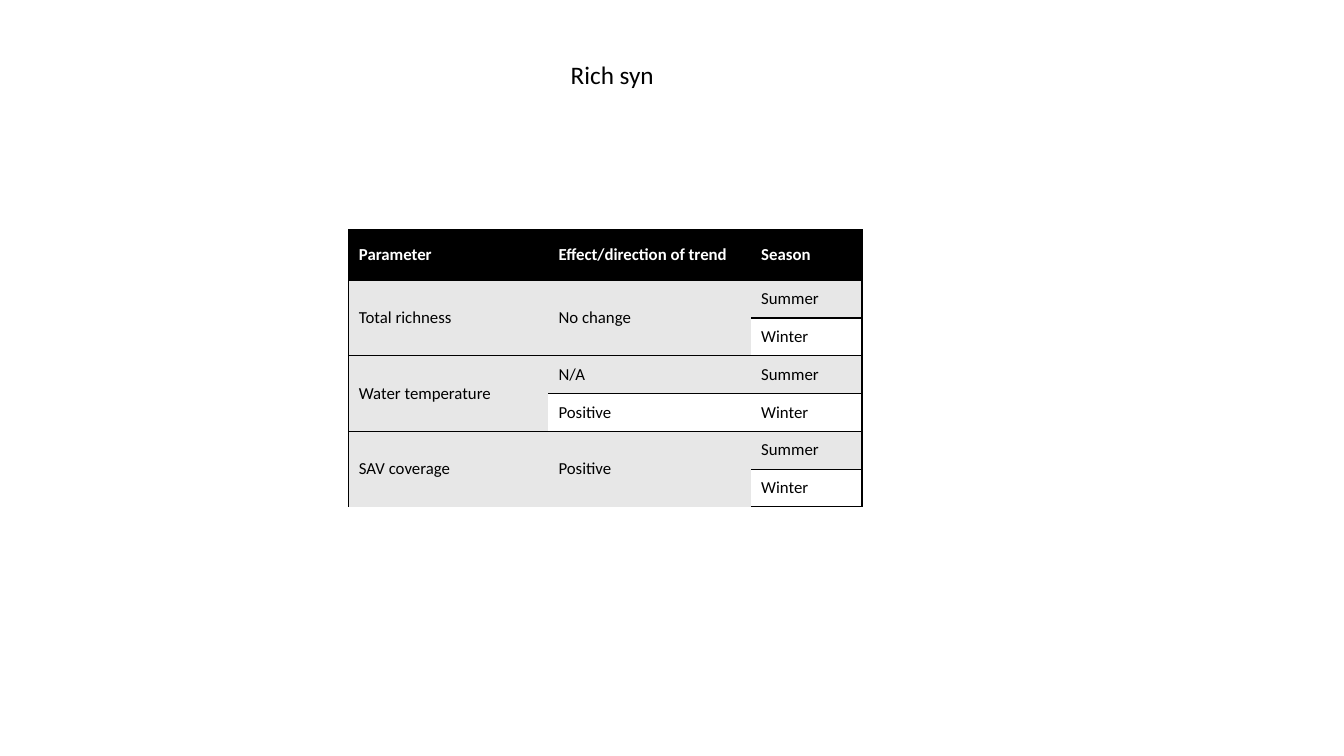
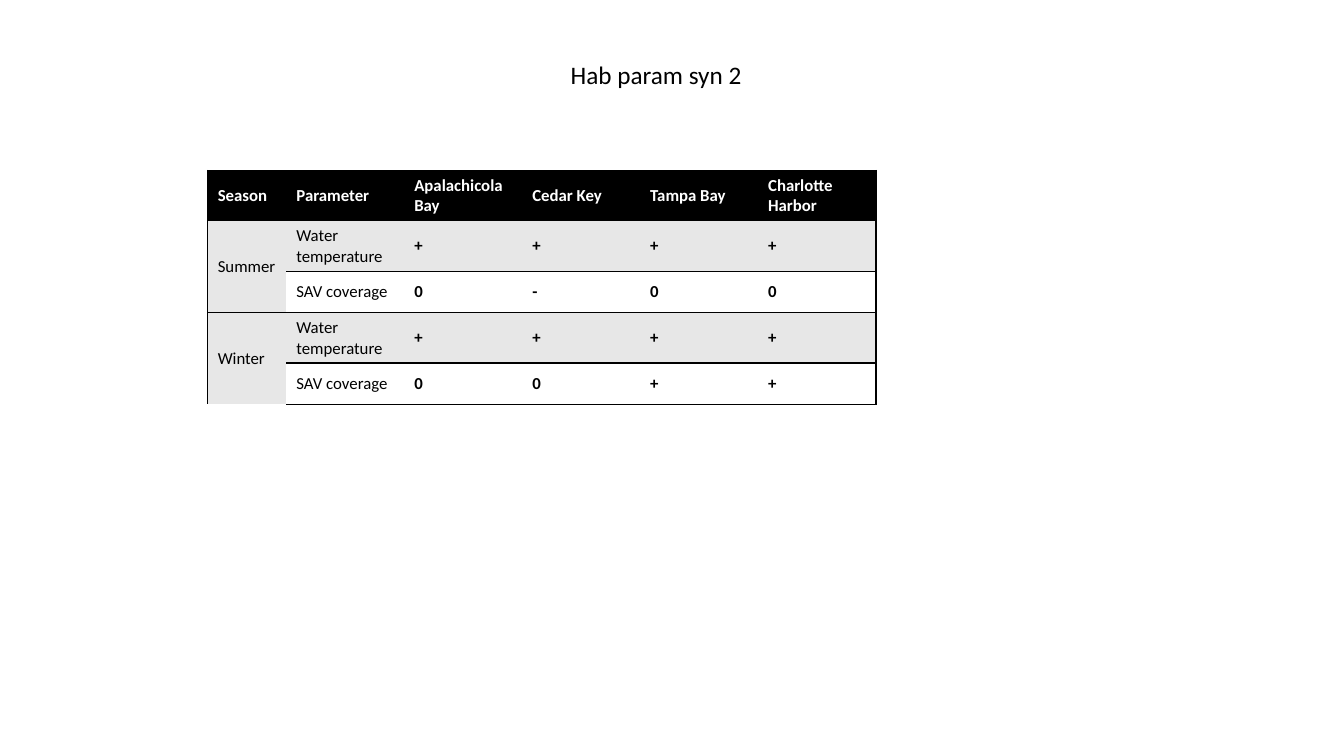
from lxml.etree import SubElement
from pptx import Presentation
from pptx.dml.color import RGBColor
from pptx.enum.text import MSO_ANCHOR, MSO_AUTO_SIZE, PP_ALIGN
from pptx.oxml.ns import qn
from pptx.util import Inches, Pt

BLACK = RGBColor(0x00, 0x00, 0x00)
WHITE = RGBColor(0xFF, 0xFF, 0xFF)
GREY = RGBColor(0xE7, 0xE7, 0xE7)
FONT = "Calibri"
NO_STYLE = "{2D5ABB26-0587-4C30-8999-92F81FD0307C}"
TITLE_LEFT, TITLE_TOP, TITLE_HEIGHT = 5.56, 0.54, 0.4
SIGNS = {"+", "-", "0"}

RICHNESS = [
    ["Parameter", "Effect/direction of trend", "Season"],
    ["Total richness", "No change", "Summer"],
    [None, None, "Winter"],
    ["Water temperature", "N/A", "Summer"],
    [None, "Positive", "Winter"],
    ["SAV coverage", "Positive", "Summer"],
    [None, None, "Winter"],
]
HABITAT = [
    ["Season", "Parameter", "Apalachicola Bay", "Cedar Key", "Tampa Bay", "Charlotte Harbor"],
    ["Summer", "Water temperature", "+", "+", "+", "+"],
    [None, "SAV coverage", "0", "-", "0", "0"],
    ["Winter", "Water temperature", "+", "+", "+", "+"],
    [None, "SAV coverage", "0", "0", "+", "+"],
]


def set_attrs(obj, values):
    for name, value in values.items():
        setattr(obj, name, value)


def set_font(font, size, color, bold=False):
    set_attrs(font, {"name": FONT, "size": Pt(size), "bold": bold})
    font.color.rgb = color


def add_title(s, text, width):
    sp = s.shapes.title
    box = (TITLE_LEFT, TITLE_TOP, width, TITLE_HEIGHT)
    set_attrs(sp, dict(zip(("left", "top", "width", "height"), map(Inches, box))))
    tf = sp.text_frame
    set_attrs(tf, {
        "word_wrap": False,
        "auto_size": MSO_AUTO_SIZE.SHAPE_TO_FIT_TEXT,
        "vertical_anchor": MSO_ANCHOR.TOP,
    })
    p = tf.paragraphs[0]
    p.alignment = PP_ALIGN.LEFT
    r = p.add_run()
    r.text = text
    set_font(r.font, 18, BLACK)


def add_borders(cell, sides):
    tc_pr = cell._tc.get_or_add_tcPr()
    for side in sides:
        ln = SubElement(tc_pr, qn(f"a:ln{side}"), w=str(Pt(1)))
        fill = SubElement(ln, qn("a:solidFill"))
        SubElement(fill, qn("a:srgbClr"), val=str(BLACK))


def format_cell(cell, text, header, fill, sides):
    add_borders(cell, sides)
    cell.fill.solid()
    cell.fill.fore_color.rgb = fill
    cell.vertical_anchor = MSO_ANCHOR.MIDDLE
    r = cell.text_frame.paragraphs[0].add_run()
    r.text = text or ""
    set_font(r.font, 12, WHITE if header else BLACK, header or text in SIGNS)


def add_grid(s, left, top, cols, rows, data):
    box = map(Inches, (left, top, sum(cols), sum(rows)))
    table = s.shapes.add_table(len(rows), len(cols), *box).table
    set_attrs(table, {"first_row": False, "horz_banding": False})
    table._tbl.tblPr.find(qn("a:tableStyleId")).text = NO_STYLE
    for col, width in zip(table.columns, cols):
        col.width = Inches(width)
    for row, height in zip(table.rows, rows):
        row.height = Inches(height)
    for i, texts in enumerate(data):
        for j, text in enumerate(texts):
            cell = table.cell(i, j)
            if text is None:
                table.cell(i - 1, j).merge(cell)
            fill = BLACK if i == 0 else GREY if i % 2 or text is None else WHITE
            sides = ["L"] * (j == 0) + ["R"] * (j == len(cols) - 1)
            spans_down = i + 1 < len(data) and data[i + 1][j] is None
            sides += ["T"] * (text is not None) + ["B"] * (not spans_down)
            format_cell(cell, text, i == 0, fill, sides)


def main():
    prs = Presentation()
    set_attrs(prs, {"slide_width": Inches(13.33), "slide_height": Inches(7.5)})
    slides = [
        ("Rich syn", 1.04, 3.46, 2.28, [1.98, 2.01, 1.1], [0.5] + [0.375] * 6, RICHNESS),
        ("Hab param syn 2", 1.92, 2.06, 1.69, [0.78] + [1.17] * 5,
         [0.5] + [0.5, 0.41] * 2, HABITAT),
    ]
    for title, width, *grid in slides:
        s = prs.slides.add_slide(prs.slide_layouts[5])
        add_title(s, title, width)
        add_grid(s, *grid)
    prs.save("out.pptx")


if __name__ == "__main__":
    main()
